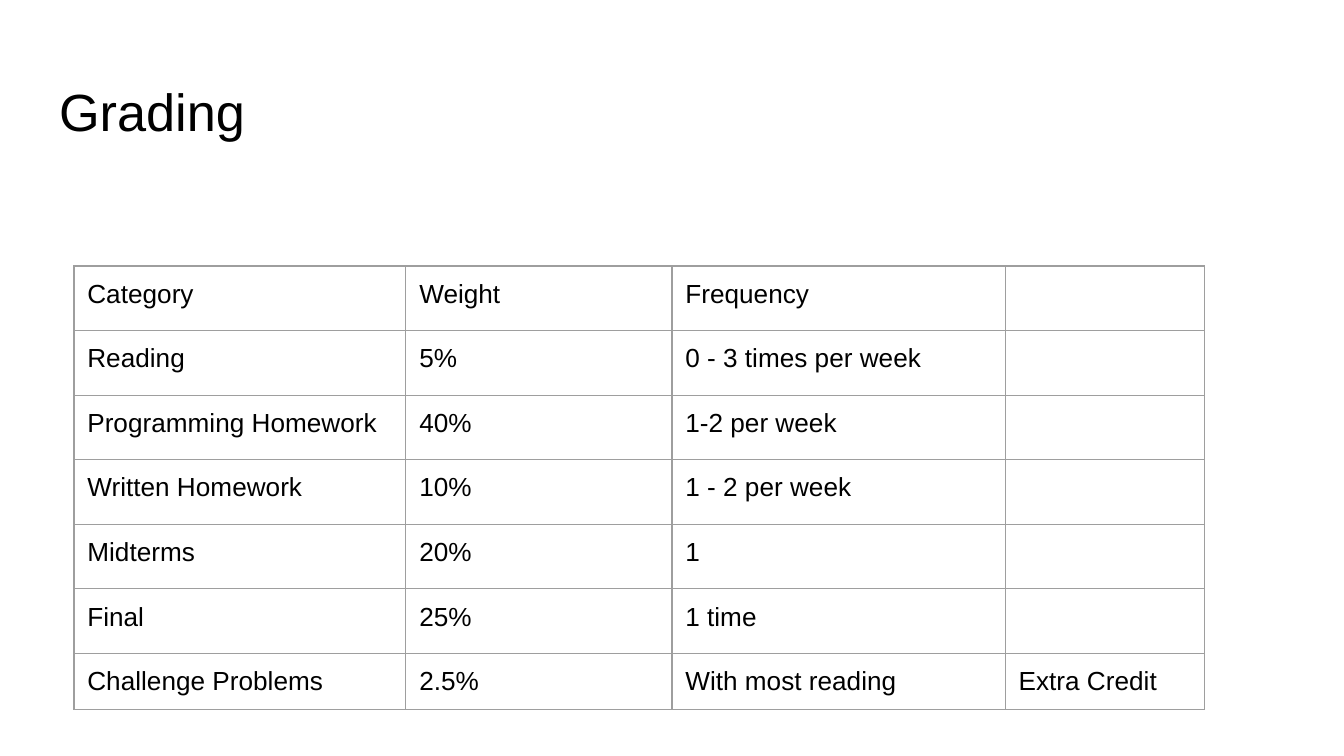
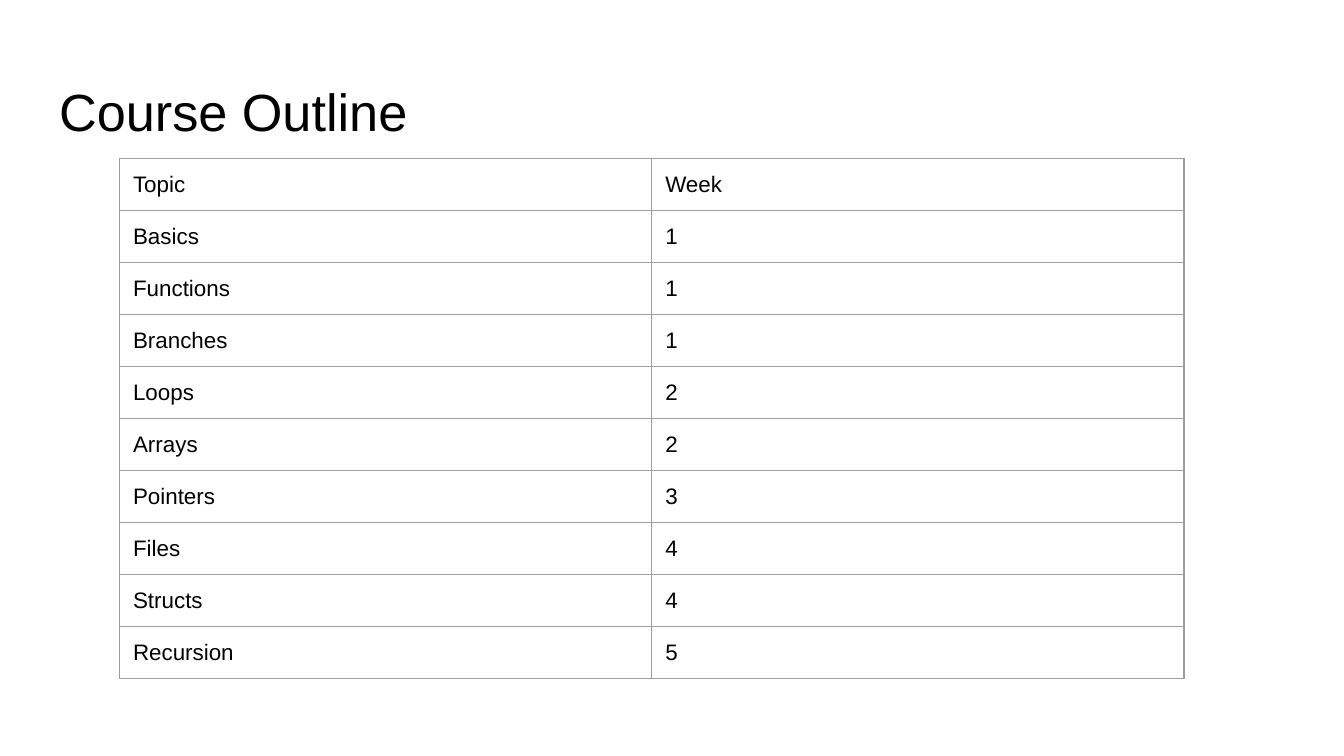
from lxml import etree
from pptx import Presentation
from pptx.dml.color import RGBColor
from pptx.enum import text
from pptx.oxml import ns
from pptx.util import Inches, Pt

HUES = {"ink": "000000", "rule": "9E9E9E"}
FACE = "Arial"
PAD = Inches(0.1)


class Deck:
    """Holds the shared style and the current slide."""

    def __init__(self):
        self.prs = Presentation()
        self.prs.slide_width = Inches(10)
        self.prs.slide_height = Inches(10) * 9 // 16
        self.slide = None

    def style(self, font, size):
        for key, val in {"name": FACE, "size": Pt(size), "bold": False}.items():
            setattr(font, key, val)
        font.color.rgb = RGBColor.from_string(HUES["ink"])

    def pad(self, box):
        for side in ("left", "top", "right", "bottom"):
            setattr(box, f"margin_{side}", PAD)

    def page(self, title):
        self.slide = self.prs.slides.add_slide(self.prs.slide_layouts[5])
        head = self.slide.shapes.title
        spot = {"left": 0.34, "top": 0.49, "width": 9.32, "height": 0.63}
        for key, val in spot.items():
            setattr(head, key, Inches(val))
        frame = head.text_frame
        frame.text = title
        look = {"word_wrap": True, "auto_size": text.MSO_AUTO_SIZE.NONE,
                "vertical_anchor": text.MSO_ANCHOR.MIDDLE}
        for key, val in look.items():
            setattr(frame, key, val)
        self.pad(frame)
        para = frame.paragraphs[0]
        para.alignment = text.PP_ALIGN.LEFT
        para.line_spacing = 1.07
        self.style(para.runs[0].font, 28)

    def border(self, cell):
        props = cell._tc.get_or_add_tcPr()
        for place, side in enumerate("LRTB"):
            line = etree.Element(ns.qn(f"a:ln{side}"), w=str(Pt(0.75)))
            fill = etree.SubElement(line, ns.qn("a:solidFill"))
            etree.SubElement(fill, ns.qn("a:srgbClr"), val=HUES["rule"])
            props.insert(place, line)

    def cell(self, cell, word, size):
        self.pad(cell)
        cell.fill.background()
        self.border(cell)
        para = cell.text_frame.paragraphs[0]
        if word:
            run = para.add_run()
            run.text = word
            self.style(run.font, size)
        else:
            # Empty cells set the height of their row
            end = etree.SubElement(para._p, ns.qn("a:endParaRPr"), sz="1800")
            etree.SubElement(end, ns.qn("a:latin"), typeface=FACE)

    def table(self, left, top, cols, highs, rows, size):
        spot = [Inches(n) for n in (left, top, sum(cols), sum(highs))]
        grid = self.slide.shapes.add_table(len(rows), len(cols), *spot).table
        grid.first_row = grid.horz_banding = False
        for col, wide in zip(grid.columns, cols):
            col.width = Inches(wide)
        for row, high, words in zip(grid.rows, highs, rows):
            row.height = Inches(high)
            for cell, word in zip(row.cells, words):
                self.cell(cell, word, size)


def main():
    deck = Deck()

    # Grading
    deck.page("Grading")
    marks = [
        ("Category", "Weight", "Frequency", ""),
        ("Reading", "5%", "0 - 3 times per week", ""),
        ("Programming Homework", "40%", "1-2 per week", ""),
        ("Written Homework", "10%", "1 - 2 per week", ""),
        ("Midterms", "20%", "1", ""),
        ("Final", "25%", "1 time", ""),
        ("Challenge Problems", "2.5%", "With most reading", "Extra Credit"),
    ]
    deck.table(0.55, 1.98, [2.47, 1.98, 2.48, 1.48], [0.42] * len(marks), marks, 14)

    # Course outline
    deck.page("Course Outline")
    weeks = [
        ("Topic", "Week"), ("Basics", "1"), ("Functions", "1"),
        ("Branches", "1"), ("Loops", "2"), ("Arrays", "2"),
        ("Pointers", "3"), ("Files", "4"), ("Structs", "4"),
        ("Recursion", "5"),
    ]
    deck.table(0.89, 1.18, [3.96] * 2, [0.34] * 9 + [0.38], weeks, 12)

    deck.prs.save("out.pptx")


if __name__ == "__main__":
    main()
